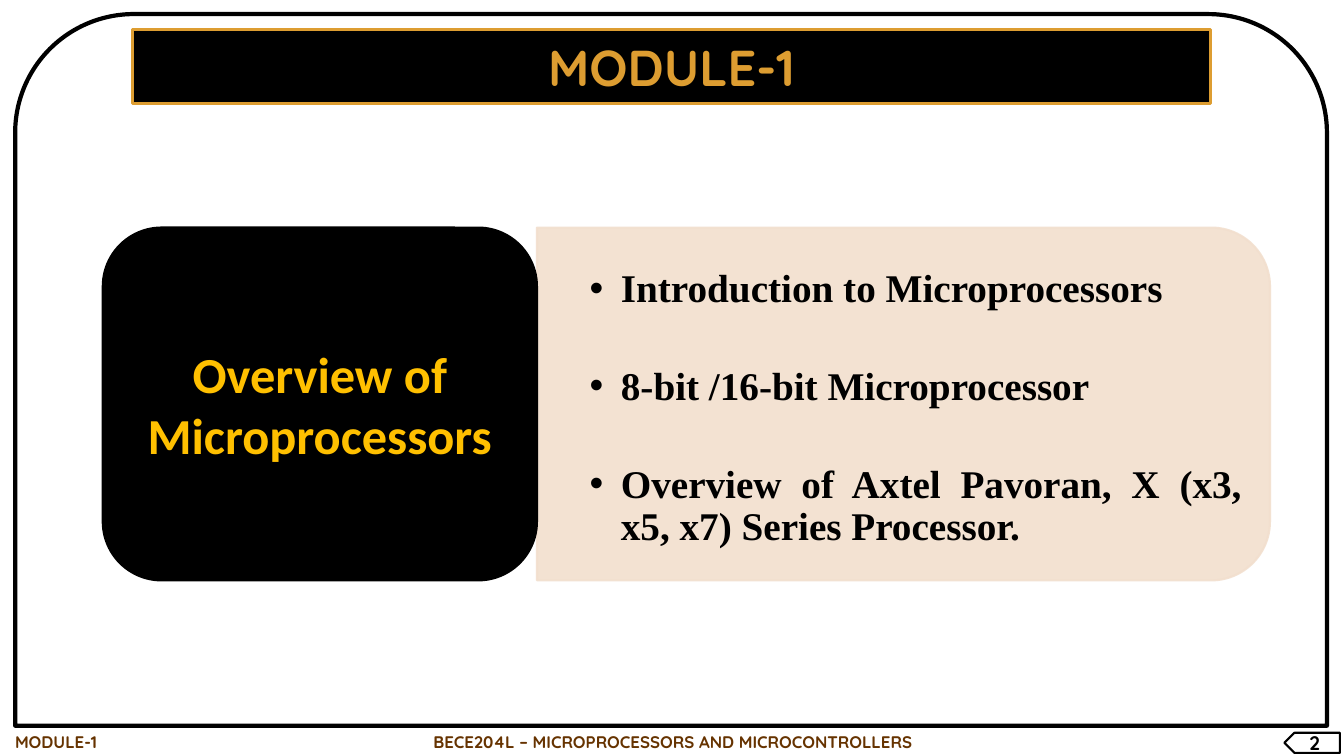
from dataclasses import dataclass

from lxml import etree
from pptx import Presentation
from pptx import util as u
from pptx.dml.color import RGBColor
from pptx.enum import shapes, text
from pptx.oxml import ns

PRESET = shapes.MSO_SHAPE
ALIGN = text.PP_ALIGN
MIDDLE = text.MSO_ANCHOR.MIDDLE


@dataclass(frozen=True)
class Theme:
    dark: str = "000000"
    light: str = "FFFFFF"
    gold: str = "DD9D31"
    amber: str = "FFC000"
    sand: str = "F2DFCE"
    brown: str = "663300"
    heading_font: str = "Quicksand"
    topic_font: str = "Calibri"
    list_font: str = "Times New Roman"
    heading_size: int = 36
    list_size: int = 28
    page_size: int = 14
    footer_size: int = 12


THEME = Theme()


@dataclass(frozen=True)
class Box:
    left: float
    top: float
    width: float
    height: float

    def inner(self, left, top, width, height):
        """Return an inner box given in percent of this one."""
        return Box(self.left + self.width * left / 100,
                   self.top + self.height * top / 100,
                   self.width * width / 100, self.height * height / 100)

    def turned(self):
        """Return the box that covers this one after a quarter turn."""
        return Box(self.left + (self.width - self.height) / 2,
                   self.top + (self.height - self.width) / 2,
                   self.height, self.width)

    def emu(self):
        return [u.Inches(v) for v in (self.left, self.top, self.width, self.height)]


def place(item, box):
    item.left, item.top, item.width, item.height = box.emu()


def paint(item, fill=None, line=None, weight=1.5):
    if fill:
        item.fill.solid()
        item.fill.fore_color.rgb = RGBColor.from_string(fill)
    else:
        item.fill.background()
    item.line.color.rgb = RGBColor.from_string(line)
    item.line.width = u.Pt(weight)


def add_preset(slide, preset, box, **look):
    item = slide.shapes.add_shape(preset, *box.emu())
    item.shadow.inherit = False
    paint(item, **look)
    return item


def write(paragraph, words, font, size, color, align=ALIGN.CENTER):
    paragraph.alignment = align
    run = paragraph.add_run()
    run.text = words
    run.font.name = font
    run.font.size = u.Pt(size)
    run.font.bold = True
    run.font.color.rgb = RGBColor.from_string(color)


def add_heading(slide, box, words):
    heading = slide.shapes.title
    place(heading, box)
    outline = etree.SubElement(heading.element.spPr, ns.qn("a:prstGeom"), prst="roundRect")
    etree.SubElement(outline, ns.qn("a:avLst"))
    paint(heading, fill=THEME.dark, line=THEME.gold, weight=2.25)
    heading.text_frame.vertical_anchor = MIDDLE
    write(heading.text_frame.paragraphs[0], words, THEME.heading_font,
          THEME.heading_size, THEME.gold)


def add_contents_panel(slide, box, contents):
    panel = add_preset(slide, PRESET.ROUND_2_SAME_RECTANGLE, box.turned(),
                       fill=THEME.sand, line=THEME.sand)
    panel.rotation = 90
    for color in panel.element.spPr.iter(ns.qn("a:srgbClr")):
        etree.SubElement(color, ns.qn("a:alpha"), val="90000")
    contents.element.addprevious(panel.element)  # keeps the list in front


def fill_contents(contents, box, entries):
    place(contents, box)
    frame = contents.text_frame
    frame.auto_size = text.MSO_AUTO_SIZE.NONE
    frame.vertical_anchor = MIDDLE
    frame.margin_left = frame.margin_right = u.Inches(0.27)
    frame.margin_top = frame.margin_bottom = u.Inches(0.14)
    indent = u.Inches(0.31)
    for number, entry in enumerate(entries):
        paragraph = frame.add_paragraph() if number else frame.paragraphs[0]
        write(paragraph, entry, THEME.list_font, THEME.list_size, THEME.dark, ALIGN.JUSTIFY)
        paragraph.line_spacing = 0.9
        paragraph.space_before = u.Pt(0)
        paragraph.space_after = u.Pt(4 if entry == entries[-1] else 39.5)
        properties = paragraph._p.get_or_add_pPr()
        properties.set("marL", str(indent))
        properties.set("indent", str(-indent))


def add_overview(slide, box, topic, entries):
    topic_share = 37.2
    contents = slide.placeholders[1]
    add_contents_panel(slide, box.inner(topic_share, 0, 100 - topic_share, 100), contents)
    fill_contents(contents, box.inner(39.38, 6.29, 60.54, 90.29), entries)
    card = add_preset(slide, PRESET.ROUNDED_RECTANGLE, box.inner(0, 0, topic_share, 100),
                      fill=THEME.dark, line=THEME.dark)
    card.text_frame.vertical_anchor = MIDDLE
    write(card.text_frame.paragraphs[0], topic, THEME.topic_font,
          THEME.heading_size, THEME.amber)


def add_footer(slide, box, module, course, page):
    labels = [(module, box.inner(0.38, 0, 9.45, 100), ALIGN.LEFT),
              (course, box.inner(27.53, 0, 45.09, 100), ALIGN.CENTER)]
    for words, label_box, align in labels:
        label = slide.shapes.add_textbox(*label_box.emu())
        label.text_frame.word_wrap = True
        write(label.text_frame.paragraphs[0], words, THEME.heading_font,
              THEME.footer_size, THEME.brown, align)
    tag = add_preset(slide, PRESET.PENTAGON, box.inner(95.57, 20, 4.13, 66.67),
                     fill=THEME.light, line=THEME.dark)
    tag.element.spPr.find(ns.qn("a:xfrm")).set("flipH", "1")
    tag.text_frame.vertical_anchor = MIDDLE
    write(tag.text_frame.paragraphs[0], page, THEME.heading_font,
          THEME.page_size, THEME.dark)


def add_module_slide(deck, page_box):
    slide = deck.slides.add_slide(deck.slide_layouts[1])
    add_heading(slide, page_box.inner(9.83, 3.87, 80.27, 9.87), "MODULE-1")
    add_preset(slide, PRESET.ROUND_2_SAME_RECTANGLE,
               page_box.inner(1.13, 1.87, 97.6, 94.13), line=THEME.dark, weight=3)
    add_overview(slide, page_box.inner(7.65, 30.1, 86.84, 46.67),
                 "Overview of Microprocessors",
                 ["Introduction to Microprocessors",
                  "8-bit /16-bit Microprocessor",
                  "Overview of Axtel Pavoran, X (x3, x5, x7) Series Processor."])
    add_footer(slide, page_box.inner(0, 96.13, 100, 4), "MODULE-1",
               "BECE204L – MICROPROCESSORS AND MICROCONTROLLERS", "2")


def main():
    deck = Presentation()
    page_box = Box(0, 0, 13.33, 7.5)
    deck.slide_width, deck.slide_height = page_box.emu()[2:]
    add_module_slide(deck, page_box)
    deck.save("out.pptx")


if __name__ == "__main__":
    main()
